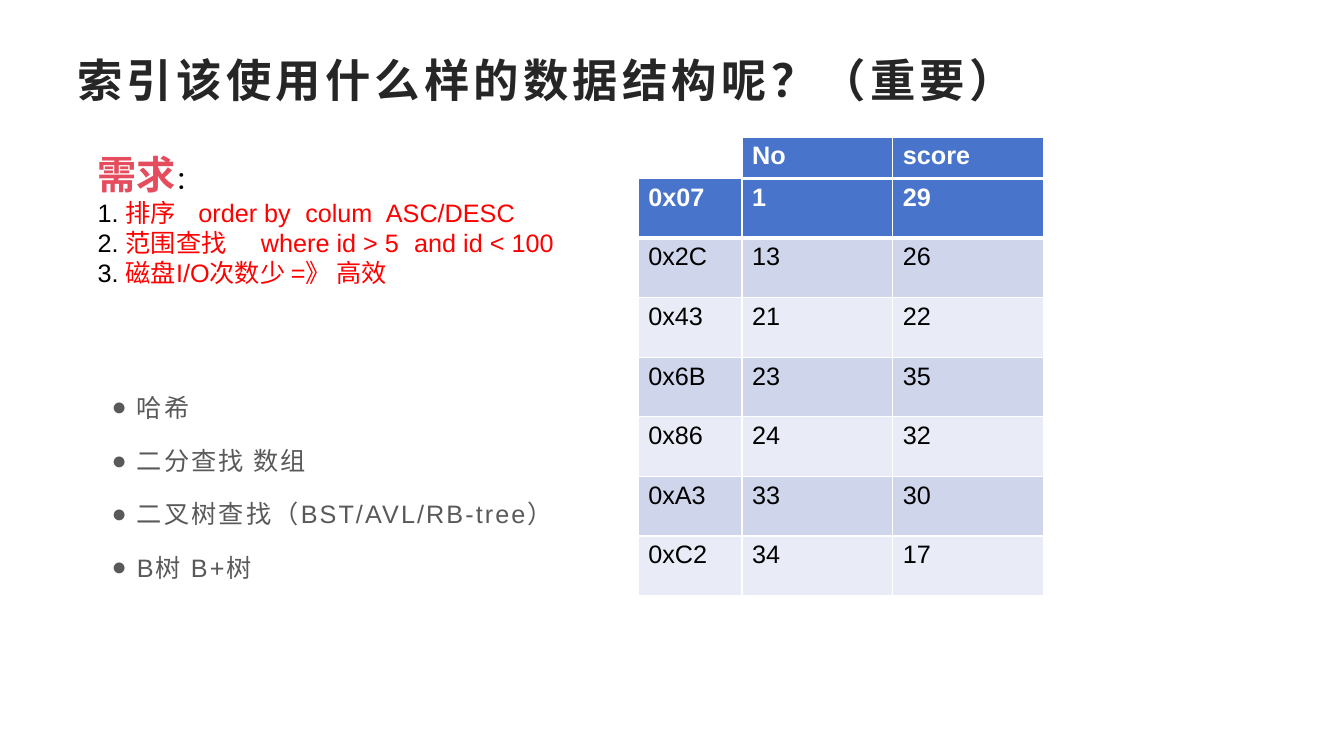
from dataclasses import dataclass
from lxml.etree import SubElement
from pptx import Presentation
from pptx.dml.color import RGBColor as RGB
from pptx.enum.text import MSO_ANCHOR as Anchor, MSO_AUTO_SIZE as AutoSize
from pptx.oxml.ns import qn
from pptx.util import Inches, Pt


@dataclass(frozen=True)
class Theme:
    font: str = "Arial"
    title: str = "262626"
    body: str = "595959"
    accent: str = "E54C5E"
    alert: str = "FF0000"
    ink: str = "000000"
    white: str = "FFFFFF"
    header: str = "4874CB"
    bands: tuple = ("E9EBF6", "CFD6EC")
    title_size: float = 32.4
    heading_size: float = 28
    text_size: float = 18


THEME = Theme()

REQUIREMENTS = [  # item text, tab stops in inches
    ("排序\torder by\tcolum\tASC/DESC", (1.0, 2.06, 2.86)),
    ("范围查找\twhere id > 5\tand id < 100", (1.62, 3.14)),
    ("磁盘I/O次数少 =》 高效", ()),
]
STRUCTURES = ["哈希", "二分查找 数组", "二叉树查找（BST/AVL/RB-tree）", "B树 B+树"]
COLUMNS = [["No", "score"]]
ADDRESSES = [["0x07"], ["0x2C"], ["0x43"], ["0x6B"], ["0x86"], ["0xA3"], ["0xC2"]]
SCORES = [[1, 29], [13, 26], [21, 22], [23, 35], [24, 32], [33, 30], [34, 17]]


def set_all(target, values):
    for name, value in values.items():
        setattr(target, name, value)


def add_run(paragraph, text, color, size=THEME.text_size, bold=False, spacing=0):
    run = paragraph.add_run()
    run.text = text
    set_all(run.font, {"name": THEME.font, "size": Pt(size), "bold": bold})
    run.font.color.rgb = RGB.from_string(color)
    if spacing:
        run._r.get_or_add_rPr().set("spc", str(int(spacing * 100)))


def add_frame(slide, box, **settings):
    frame = slide.shapes.add_textbox(*map(Inches, box)).text_frame
    set_all(frame, {"word_wrap": True, **settings})
    return frame


def next_paragraph(frame, index):
    return frame.add_paragraph() if index else frame.paragraphs[0]


def add_title(slide, box):
    # The deep bottom inset lifts the line above the middle of its box
    frame = add_frame(slide, box, vertical_anchor=Anchor.MIDDLE, margin_bottom=Inches(0.59))
    add_run(frame.paragraphs[0], "索引该使用什么样的数据结构呢？（重要）",
            THEME.title, THEME.title_size, True, 3)


def add_requirements(slide, box):
    frame = add_frame(slide, box, auto_size=AutoSize.SHAPE_TO_FIT_TEXT)
    heading = frame.paragraphs[0]
    add_run(heading, "需求", THEME.accent, THEME.heading_size, True)
    add_run(heading, "：", THEME.ink)
    for number, (item, stops) in enumerate(REQUIREMENTS, 1):
        line = frame.add_paragraph()
        if stops:
            tabs = SubElement(line._p.get_or_add_pPr(), qn("a:tabLst"))
            for stop in stops:
                SubElement(tabs, qn("a:tab"), pos=str(Inches(stop)), algn="l")
        add_run(line, f"{number}. ", THEME.ink)
        add_run(line, item, THEME.alert)


def add_structures(slide, box):
    frame = add_frame(slide, box)
    for index, structure in enumerate(STRUCTURES):
        line = next_paragraph(frame, index)
        props = line._p.get_or_add_pPr()
        props.set("marL", str(Inches(0.25)))
        props.set("indent", str(-Inches(0.25)))
        SubElement(props, qn("a:buFont"), typeface=THEME.font)
        SubElement(props, qn("a:buChar"), char="●")
        set_all(line, {"line_spacing": 1.3, "space_after": Pt(10)})
        add_run(line, structure, THEME.body, spacing=1.5)


def set_borders(cell, widths):
    props = cell._tc.get_or_add_tcPr()
    for side, width in widths.items():
        border = SubElement(props, qn(f"a:ln{side}"), w=str(Pt(width)))
        SubElement(SubElement(border, qn("a:solidFill")), qn("a:srgbClr"), val=THEME.white)


def add_grid(slide, box, values):
    left, top, width, height = box
    rows, cols = len(values), len(values[0])
    table = slide.shapes.add_table(rows, cols, *map(Inches, box)).table
    set_all(table, {"first_row": False, "horz_banding": False})
    for column in table.columns:
        column.width = Inches(width / cols)
    for r, row in enumerate(values):
        table.rows[r].height = Inches(height / rows)
        is_header = r == 0
        for c, value in enumerate(row):
            cell = table.cell(r, c)
            # A thick rule parts the header from the rows below
            set_borders(cell, {"L": 1, "R": 1, "T": 3 if r == 1 else 1, "B": 3 if is_header else 1})
            cell.fill.solid()
            cell.fill.fore_color.rgb = RGB.from_string(THEME.header if is_header else THEME.bands[r % 2])
            add_run(cell.text_frame.paragraphs[0], str(value),
                    THEME.white if is_header else THEME.ink, bold=is_header)


def add_score_tables(slide, box):
    left, top, width, height = box
    address_width, header_height = 1.03, 0.41
    scores_left, rows_top = left + address_width, top + header_height
    scores_width, rows_height = width - address_width, height - header_height
    add_grid(slide, (scores_left, rows_top, scores_width, rows_height), SCORES)
    add_grid(slide, (left, rows_top, address_width, rows_height), ADDRESSES)
    add_grid(slide, (scores_left, top, scores_width, header_height), COLUMNS)


def main():
    deck = Presentation()
    set_all(deck, {"slide_width": Inches(13.33), "slide_height": Inches(7.5)})
    slide = deck.slides.add_slide(deck.slide_layouts[6])
    add_title(slide, (0.67, 0.67, 12, 0.77))
    add_structures(slide, (1.01, 3.75, 12, 2.69))
    add_score_tables(slide, (6.33, 1.36, 4.02, 4.55))
    add_requirements(slide, (0.87, 1.44, 4.97, 1.48))
    deck.save("out.pptx")


if __name__ == "__main__":
    main()
